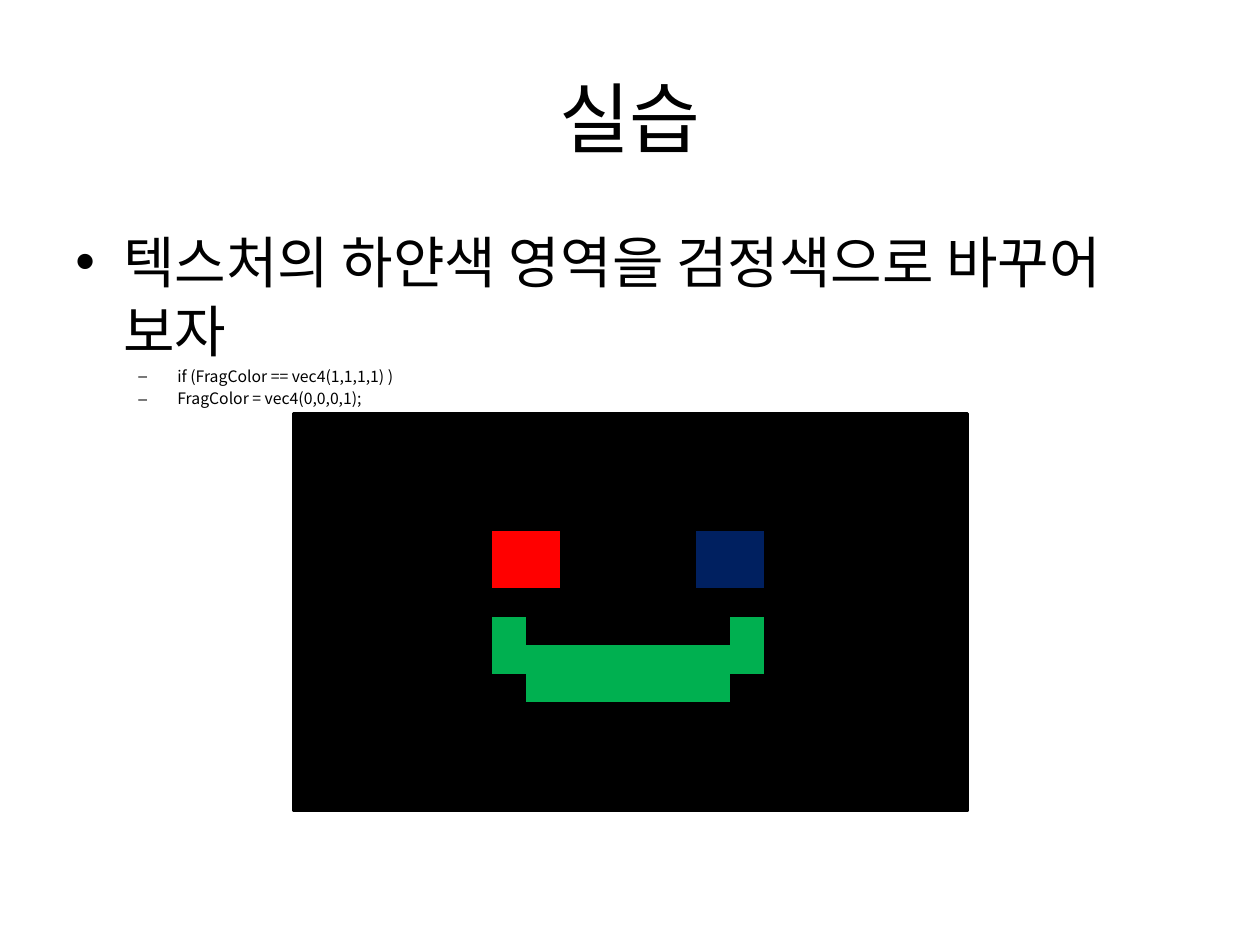
import pptx
import pptx.dml.color
import pptx.enum.shapes
import pptx.enum.text
import pptx.oxml.ns
import pptx.util
import lxml.etree

Inches = pptx.util.Inches
Pt = pptx.util.Pt
RGBColor = pptx.dml.color.RGBColor
qn = pptx.oxml.ns.qn

FONT = "Noto Sans CJK KR"
BLACK = RGBColor(0x00, 0x00, 0x00)
RED = RGBColor(0xFF, 0x00, 0x00)
NAVY = RGBColor(0x00, 0x20, 0x60)
GREEN = RGBColor(0x00, 0xB0, 0x50)
PALETTE = {"R": RED, "N": NAVY, "G": GREEN}
FACE = [
    "........",
    "RR....NN",
    "RR....NN",
    "........",
    "G......G",
    "GGGGGGGG",
    ".GGGGGG.",
    "........",
]
NO_STYLE = "{2D5ABB26-0587-4C30-8999-92F81FD0307C}"


def add_child(parent, tag, **attributes):
    return lxml.etree.SubElement(parent, qn(tag), **attributes)


def write_text(para, text, size, align=None, bullet=None, level=0,
               margin=0, hanging=0, line=None, before=0):
    span = para.add_run()
    span.text = text
    span.font.size = Pt(size)
    span.font.name = FONT
    span.font.color.rgb = BLACK
    add_child(span.font._element, "a:ea", typeface=FONT)
    para.level = level
    para.space_before = Pt(before)
    if align is not None:
        para.alignment = align
    if line:
        para.line_spacing = Pt(line)
    if bullet:
        properties = para._p.get_or_add_pPr()
        properties.set("marL", str(Inches(margin)))
        properties.set("indent", str(-Inches(hanging)))
        add_child(properties, "a:buFont", typeface="Arial")
        add_child(properties, "a:buChar", char=bullet)


def add_frame(page, left, top, width, height, anchor):
    box = page.shapes.add_textbox(Inches(left), Inches(top), Inches(width), Inches(height))
    frame = box.text_frame
    frame.word_wrap = True
    frame.vertical_anchor = anchor
    return frame


def add_title(page, left, top, width, height):
    frame = add_frame(page, left, top, width, height, pptx.enum.text.MSO_ANCHOR.MIDDLE)
    write_text(frame.paragraphs[0], "실습", 44, align=pptx.enum.text.PP_ALIGN.CENTER)


def add_task(page, left, top, width, height):
    frame = add_frame(page, left, top, width, height, pptx.enum.text.MSO_ANCHOR.TOP)
    write_text(frame.paragraphs[0], "텍스처의 하얀색 영역을 검정색으로 바꾸어 보자", 32,
               bullet="•", margin=0.38, hanging=0.38, line=39)
    for code in ("if (FragColor == vec4(1,1,1,1) )", "FragColor = vec4(0,0,0,1);"):
        write_text(frame.add_paragraph(), code, 9, bullet="–", level=1,
                   margin=0.81, hanging=0.31, line=11, before=1.8)


def add_border(cell, tag):
    border = add_child(cell._tc.get_or_add_tcPr(), tag, w=str(Pt(1)))
    fill = add_child(border, "a:solidFill")
    add_child(fill, "a:srgbClr", val=str(BLACK))


def add_face(page, left, top, width, height):
    count = len(FACE)
    holder = page.shapes.add_table(count, count, Inches(left), Inches(top),
                                   Inches(width), Inches(height))
    table = holder.table
    table.first_row = False
    table.horz_banding = False
    table._tbl.tblPr.find(qn("a:tableStyleId")).text = NO_STYLE
    last = count - 1
    for index in range(count):
        table.columns[index].width = Inches(width / count)
        table.rows[index].height = Inches(height / count)
    for row, pattern in enumerate(FACE):
        for column, mark in enumerate(pattern):
            cell = table.cell(row, column)
            cell.margin_left = cell.margin_right = 0
            cell.margin_top = cell.margin_bottom = 0
            add_child(cell.text_frame.paragraphs[0]._p, "a:endParaRPr", sz="600")
            sides = (("a:lnL", column == 0), ("a:lnR", column == last),
                     ("a:lnT", row == 0), ("a:lnB", row == last))
            for tag, outer in sides:
                if outer:
                    add_border(cell, tag)
            if mark in PALETTE:
                cell.fill.solid()
                cell.fill.fore_color.rgb = PALETTE[mark]
            else:
                cell.fill.background()


def add_screen(page, left, top, width, height):
    screen = page.shapes.add_shape(pptx.enum.shapes.MSO_SHAPE.RECTANGLE, Inches(left),
                                   Inches(top), Inches(width), Inches(height))
    screen.shadow.inherit = False
    screen.fill.solid()
    screen.fill.fore_color.rgb = BLACK
    screen.line.color.rgb = BLACK
    screen.line.width = Pt(2)


def build_page(deck):
    page = deck.slides.add_slide(deck.slide_layouts[6])
    add_screen(page, 2.33, 3.28, 5.35, 3.15)
    add_title(page, 0.5, 0.3, 9, 1.25)
    add_task(page, 0.5, 1.75, 9, 4.95)
    add_face(page, 3.9, 3.99, 2.17, 1.81)


deck = pptx.Presentation()
deck.slide_width = Inches(10)
deck.slide_height = Inches(7.5)
build_page(deck)
deck.save("out.pptx")
